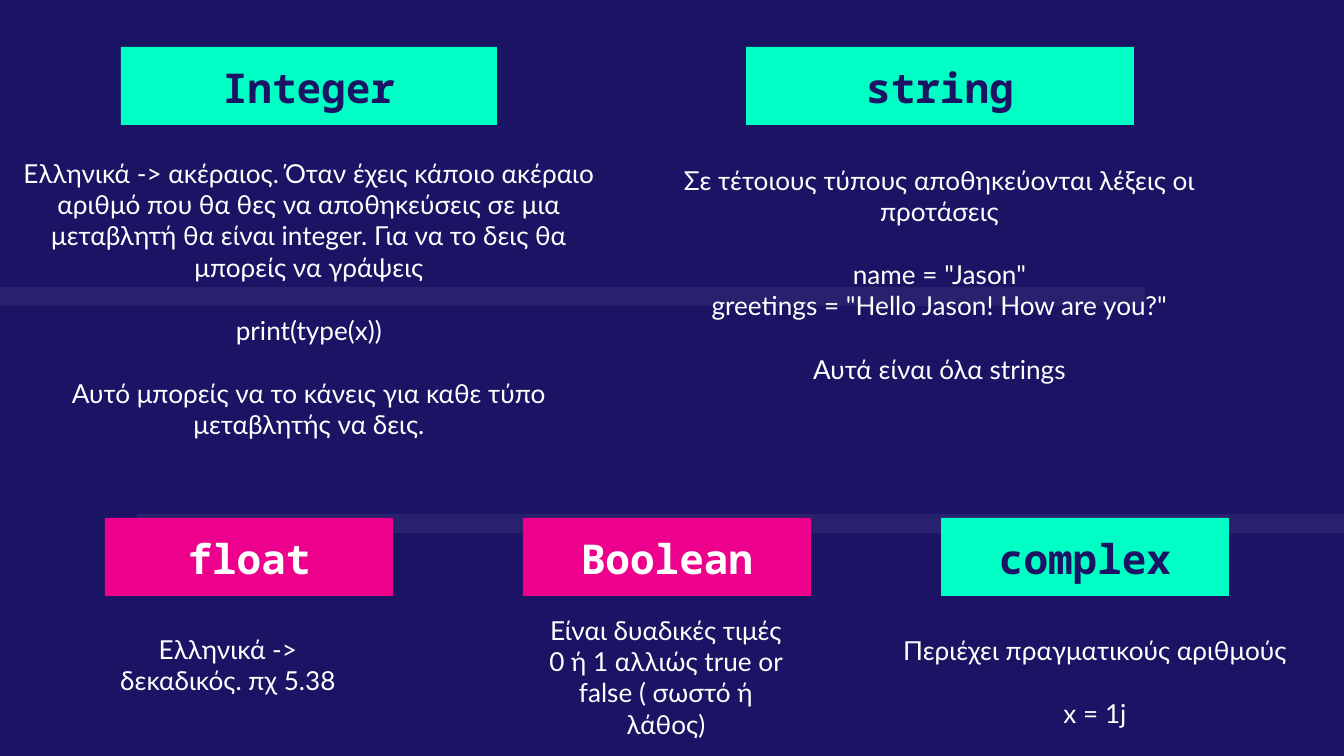
"""Build a slide that introduces five Python data types in Greek."""
import pptx
import pptx.dml.color
import pptx.enum.shapes
import pptx.enum.text
import pptx.oxml
import pptx.oxml.ns
import pptx.util

PX = 914400 / 134.4
THEME = {
    "navy": "1B1464", "mint": "00FFC5", "pink": "EC008C", "white": "FFFFFF",
    "band_alpha": 6000,
    "title_font": "Noto Sans Mono", "title_size": 22,
    "body_font": "Lato", "body_size": 14, "blank_line": 17,
}
INSET = 13
TITLE_HEIGHT = 78
TOP_ROW, BOTTOM_ROW = 47, 518
SMALL_LEFT, SMALL_WIDTH, SMALL_STEP = 105, 288, 418


def add_rectangle(slide, box, color):
    shape = slide.shapes.add_shape(
        pptx.enum.shapes.MSO_SHAPE.RECTANGLE, *[round(length * PX) for length in box])
    shape.shadow.inherit = False
    shape.fill.solid()
    shape.fill.fore_color.rgb = pptx.dml.color.RGBColor.from_string(THEME[color])
    shape.line.fill.background()
    return shape


def write_text(shape, paragraphs, role, color, anchor):
    frame = shape.text_frame
    frame.word_wrap = True
    frame.vertical_anchor = anchor
    frame.margin_left = frame.margin_right = round(INSET * PX)
    frame.margin_top = frame.margin_bottom = round(INSET * PX)
    for index, (text, blank_lines) in enumerate(paragraphs):
        paragraph = frame.add_paragraph() if index else frame.paragraphs[0]
        paragraph.alignment = pptx.enum.text.PP_ALIGN.CENTER
        paragraph.space_before = pptx.util.Pt(blank_lines * THEME["blank_line"])
        run = paragraph.add_run()
        run.text = text
        run.font.name = THEME[role + "_font"]
        run.font.size = pptx.util.Pt(THEME[role + "_size"])
        run.font.bold = role == "title"
        run.font.color.rgb = pptx.dml.color.RGBColor.from_string(THEME[color])


presentation = pptx.Presentation()
presentation.slide_width = round(1344 * PX)
presentation.slide_height = round(756 * PX)
slide = presentation.slides.add_slide(presentation.slide_layouts[6])
slide.background.fill.solid()
slide.background.fill.fore_color.rgb = pptx.dml.color.RGBColor.from_string(THEME["navy"])

for band_box in [(0, 287, 1145, 19), (137, 514, 1207, 19)]:
    band = add_rectangle(slide, band_box, "white")
    band_color = band.fill._xPr.find(".//" + pptx.oxml.ns.qn("a:srgbClr"))
    alpha = pptx.oxml.parse_xml(
        '<a:alpha xmlns:a="http://schemas.openxmlformats.org/drawingml/2006/main" val="%d"/>'
        % THEME["band_alpha"])
    band_color.append(alpha)

small_boxes = [
    (SMALL_LEFT + column * SMALL_STEP, BOTTOM_ROW, SMALL_WIDTH, TITLE_HEIGHT)
    for column in range(3)
]
data_types = [
    ("string", (746, TOP_ROW, 388, TITLE_HEIGHT), "mint", "navy", (664, 151, 551, 234), [
        ("Σε τέτοιους τύπους αποθηκεύονται λέξεις οι προτάσεις", 0),
        ('name = "Jason"', 1),
        ('greetings = "Hello Jason! How are you?"', 0),
        ("Αυτά είναι όλα strings", 1),
    ]),
    ("Integer", (121, TOP_ROW, 376, TITLE_HEIGHT), "mint", "navy", (0, 144, 618, 224), [
        ("Ελληνικά -> ακέραιος. Όταν έχεις κάποιο ακέραιο αριθμό που θα θες να "
         "αποθηκεύσεις σε μια μεταβλητή θα είναι integer. Για να το δεις θα "
         "μπορείς να γράψεις", 0),
        ("print(type(x))", 1),
        ("Αυτό μπορείς να το κάνεις για καθε τύπο μεταβλητής να δεις.", 1),
    ]),
    ("float", small_boxes[0], "pink", "white", (89, 620, 278, 98), [
        ("Ελληνικά -> δεκαδικός. πχ 5.38", 0),
    ]),
    ("Boolean", small_boxes[1], "pink", "white", (527, 601, 278, 98), [
        ("Είναι δυαδικές τιμές 0 ή 1 αλλιώς true or false ( σωστό ή λάθος)", 0),
    ]),
    ("complex", small_boxes[2], "mint", "navy", (864, 621, 462, 98), [
        ("Περιέχει πραγματικούς αριθμούς", 0),
        ("x = 1j", 1),
    ]),
]

for name, title_box, fill, ink, body_box, paragraphs in data_types:
    body = slide.shapes.add_textbox(*[round(length * PX) for length in body_box])
    write_text(body, paragraphs, "body", "white", pptx.enum.text.MSO_ANCHOR.TOP)
    title = add_rectangle(slide, title_box, fill)
    write_text(title, [(name, 0)], "title", ink, pptx.enum.text.MSO_ANCHOR.BOTTOM)

presentation.save("out.pptx")
